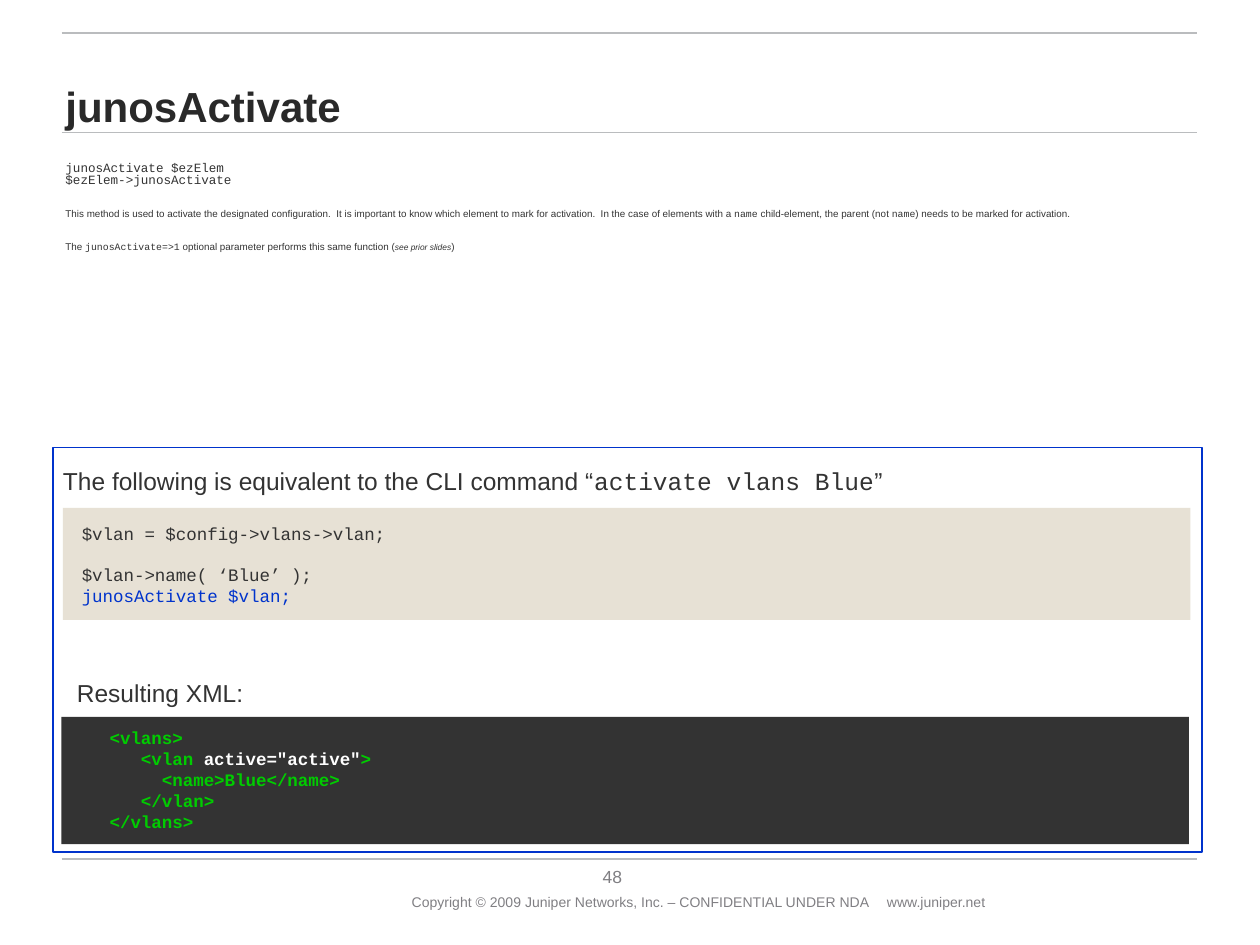
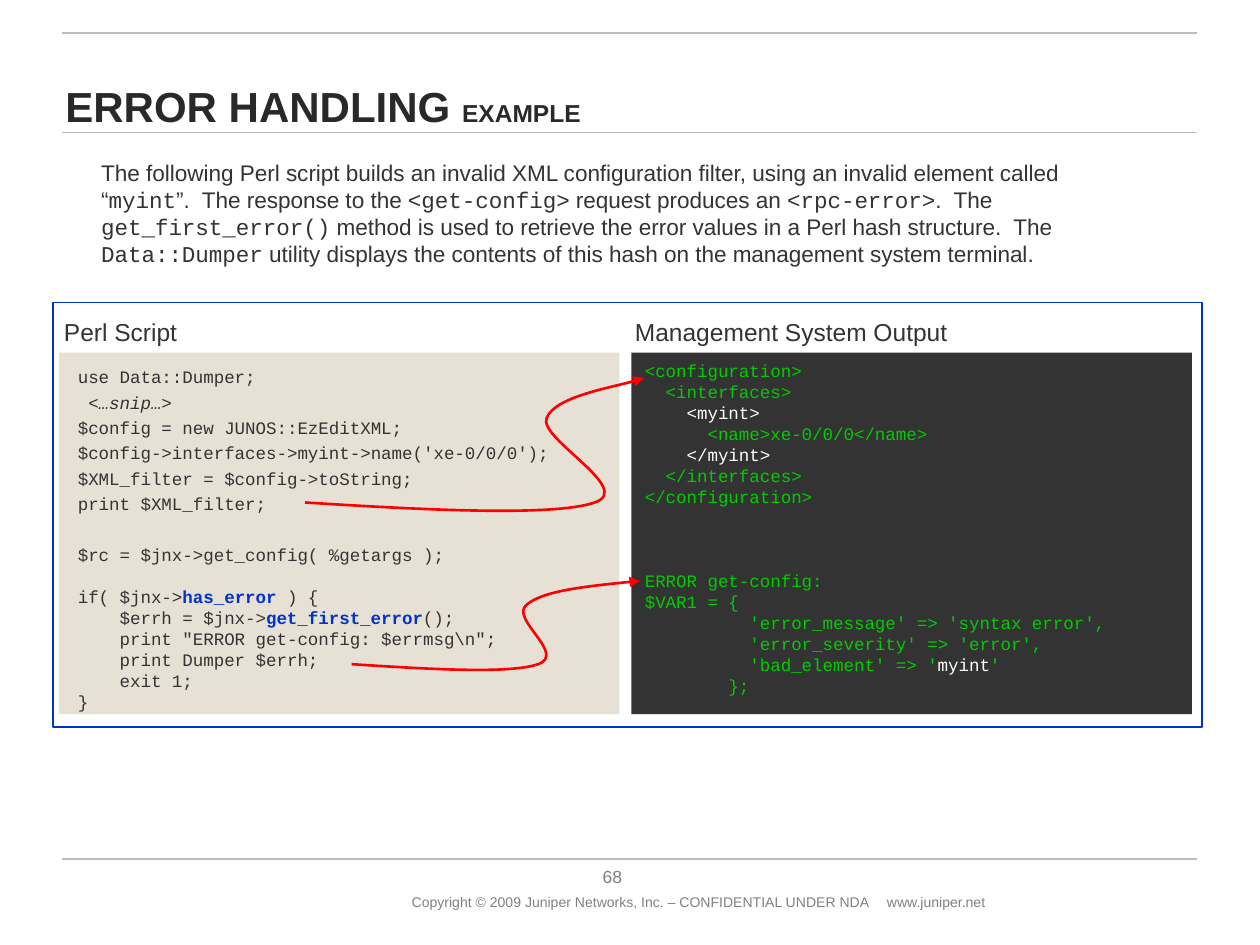
"""Build two slides on activating configuration and handling errors."""
import lxml.etree
import pptx
import pptx.dml.color
import pptx.enum.shapes
import pptx.enum.text
import pptx.oxml.ns
import pptx.util

Cm, Pt = pptx.util.Cm, pptx.util.Pt
qn = pptx.oxml.ns.qn
hues = {"text": "333333", "title": "292929", "grey": "807F83", "rule": "BABCBE",
        "tan": "E7E1D5", "dark": "333333", "blue": "0033CC", "green": "00CC00",
        "white": "FFFFFF", "red": "FF0000"}
hues = {key: pptx.dml.color.RGBColor.from_string(hue) for key, hue in hues.items()}
mono = {"face": "Courier New"}
blue = {"hue": "blue"}
bold = {"hue": "blue", "bold": True}
white = {"hue": "white"}


def write(slide, at, rows, size, face="Arial", hue="text", heavy=False, left=0.25, gaps={}, pace=None):
    """Add a text box; a part is a string or a pair of string and style."""
    frame = slide.shapes.add_textbox(*map(Cm, at)).text_frame
    frame.word_wrap = True
    frame.margin_left = Cm(left)
    for num, row in enumerate(rows):
        para = frame.paragraphs[0] if num == 0 else frame.add_paragraph()
        if pace:
            para.line_spacing = pace
        if num in gaps:
            para.space_before = Pt(gaps[num])
        for part in [row] if isinstance(row, str) else row:
            words, style = (part, {}) if isinstance(part, str) else part
            run = para.add_run()
            run.text = words
            run.font.name = style.get("face", face)
            run.font.size = Pt(style.get("size", size))
            run.font.bold = style.get("bold", heavy)
            run.font.italic = style.get("slant", False)
            run.font.color.rgb = hues[style.get("hue", hue)]
    return frame


def panel(slide, at, fill=None):
    """Add a filled panel, or a blue frame when no fill is named."""
    rect = slide.shapes.add_shape(pptx.enum.shapes.MSO_SHAPE.RECTANGLE, *map(Cm, at))
    rect.shadow.inherit = False
    if fill:
        rect.fill.solid()
        rect.fill.fore_color.rgb = hues[fill]
        rect.line.fill.background()
    else:
        rect.fill.background()
        rect.line.color.rgb = hues["blue"]
        rect.line.width = Pt(1)


deck = pptx.Presentation()
deck.slide_width, deck.slide_height = Cm(25.4), Cm(19.05)
heads = [(["junosActivate"], "48"),
         (["ERROR HANDLING ", ("EXAMPLE", {"size": 14})], "68")]
for title, page in heads:
    slide = deck.slides.add_slide(deck.slide_layouts[6])
    for y in (17.32, 2.67, 0.66):
        rule = slide.shapes.add_connector(
            pptx.enum.shapes.MSO_CONNECTOR.STRAIGHT, Cm(1.24), Cm(y), Cm(24.13), Cm(y))
        rule.line.color.rgb = hues["rule"]
        rule.line.width = Pt(1)
        lxml.etree.SubElement(rule._element.spPr, qn("a:effectLst"))
    frame = write(slide, (11.61, 17.32, 1.47, 0.56), [page], 10, hue="grey", left=0)
    frame.margin_right = frame.margin_top = frame.margin_bottom = 0
    frame.vertical_anchor = pptx.enum.text.MSO_ANCHOR.BOTTOM
    frame.paragraphs[0].alignment = pptx.enum.text.PP_ALIGN.CENTER
    foot = ["Copyright © 2009 Juniper Networks, Inc. – CONFIDENTIAL UNDER NDA\twww.juniper.net"]
    frame = write(slide, (8.05, 17.88, 12.32, 0.61), foot, 8, hue="grey")
    tabs = lxml.etree.SubElement(frame.paragraphs[0]._p.get_or_add_pPr(), qn("a:tabLst"))
    lxml.etree.SubElement(tabs, qn("a:tab"), pos=str(Cm(9.58)), algn="l")
    frame = write(slide, (1.32, 0.71, 22.83, 2.06), [title], 24, hue="title",
                  heavy=True, left=0, pace=0.9)
    frame.vertical_anchor = pptx.enum.text.MSO_ANCHOR.BOTTOM
first, second = deck.slides

usage = [
    [("junosActivate $ezElem", {**mono, "size": 7.2})],
    [("$ezElem->junosActivate", {**mono, "size": 7.2})],
    ["This method is used to activate the designated configuration.  It is important to know "
     "which element to mark for activation.  In the case of elements with a ", ("name", mono),
     " child-element, the parent (not ", ("name", mono), ") needs to be marked for activation."],
    ["The ", ("junosActivate=>1", mono), " optional parameter performs this same function (",
     ("see prior slides", {"size": 4.8, "slant": True}), ")"],
]
frame = write(first, (1.02, 3.15, 22.83, 2.31), usage, 5.6, left=0.3, gaps={2: 12, 3: 12})
for para in frame.paragraphs[:2]:
    para.line_spacing = 0.8

panel(first, (1.24, 14.45, 22.73, 2.57), "dark")
panel(first, (1.27, 10.24, 22.73, 2.26), "tan")
panel(first, (1.07, 9.02, 23.16, 8.15))
write(first, (1.02, 9.27, 22, 0.86),
      [["The following is equivalent to the CLI command “", ("activate vlans Blue", mono), "”"]], 14)
code = ["$vlan = $config->vlans->vlan;", "$vlan->name( ‘Blue’ );", [("junosActivate $vlan;", blue)]]
write(first, (1.4, 10.41, 12.7, 1.96), code, 10, "Courier New", gaps={1: 12}, pace=Pt(12))
write(first, (1.3, 13.54, 22.28, 0.89), ["Resulting XML:"], 14)
tree = [" <vlans>",
        ["    <vlan ", ('active="active"', white), ">"],
        "      <name>Blue</name>",
        "    </vlan>",
        " </vlans>"]
write(first, (1.75, 14.53, 16.69, 2.39), tree, 10, "Courier New", "green", True, pace=Pt(12))

intro = [
    "The following Perl script builds an invalid XML configuration filter, using an invalid "
    "element called “", ("myint", mono), "”.  The response to the ", ("<get-config>", mono),
    " request produces an ", ("<rpc-error>", mono), ".  The ", ("get_first_error()", mono),
    " method is used to retrieve the error values in a Perl hash structure.  The ",
    ("Data::Dumper", mono),
    " utility displays the contents of this hash on the management system terminal.",
]
write(second, (0.46, 3.07, 22.83, 2.74), [intro], 12.9, left=1.58)
panel(second, (12.73, 7.11, 11.3, 7.29), "dark")
panel(second, (1.19, 7.11, 11.3, 7.29), "tan")
panel(second, (1.07, 6.1, 23.16, 8.56))
for x, label in ((1.04, "Perl Script"), (12.55, "Management System Output")):
    write(second, (x, 6.27, 8, 0.89), [label], 14)

code = [
    "use Data::Dumper;",
    [(" <…snip…>", {"slant": True})],
    "$config = new JUNOS::EzEditXML;",
    "$config->interfaces->myint->name('xe-0/0/0');",
    "$XML_filter = $config->toString;",
    "print $XML_filter;",
    "$rc = $jnx->get_config( %getargs );",
    ["if( $jnx->", ("has_error", bold), " ) {"],
    ["    $errh = $jnx->", ("get_first_error", bold), "();"],
    '    print "ERROR get-config: $errmsg\\n";',
    "    print Dumper $errh;",
    "    exit 1;",
    "}",
]
gaps = {**dict.fromkeys(range(1, 6), 2.5), 6: 17, 7: 12}
write(second, (1.32, 7.26, 11, 7.24), code, 10, "Courier New", gaps=gaps, pace=Pt(12))
output = [
    "<configuration>",
    "  <interfaces>",
    ["    ", ("<myint>", white)],
    "      <name>xe-0/0/0</name>",
    ["    ", ("</myint>", white)],
    "  </interfaces>",
    "</configuration>",
    "ERROR get-config:",
    "$VAR1 = {",
    "          'error_message' => 'syntax error',",
    "          'error_severity' => 'error',",
    ["          'bad_element' => '", ("myint", white), "'"],
    "        };",
]
write(second, (12.75, 7.14, 10.01, 7.04), output, 10, "Courier New", "green",
      gaps={7: 36}, pace=Pt(12))

curves = [
    [(7.09, 13.39), (8.66, 13.49), (10.26, 13.59), (10.85, 13.39), (11.43, 13.18),
     (10.26, 12.47), (10.62, 12.19), (10.95, 11.91), (11.91, 11.81), (12.9, 11.71)],
    [(6.15, 10.13), (8.66, 10.29), (11.18, 10.41), (11.99, 10.13), (12.8, 9.86),
     (10.85, 8.84), (11.02, 8.43), (11.18, 8), (12.67, 7.75), (12.98, 7.62)],
]
for curve in curves:
    start, *rest = [(Cm(x), Cm(y)) for x, y in curve]
    build = second.shapes.build_freeform(*start)
    build.add_line_segments(rest, close=False)
    arrow = build.convert_to_shape()
    arrow.shadow.inherit = False
    arrow.fill.background()
    arrow.line.color.rgb = hues["red"]
    arrow.line.width = Pt(1.5)
    lxml.etree.SubElement(arrow.line._get_or_add_ln(), qn("a:tailEnd"), type="triangle")
    steps = arrow._element.findall(".//" + qn("a:lnTo"))
    for num in range(0, len(steps), 3):
        bend = lxml.etree.Element(qn("a:cubicBezTo"))
        steps[num].addprevious(bend)
        for step in steps[num:num + 3]:
            bend.append(step[0])
            step.getparent().remove(step)

deck.save("out.pptx")
